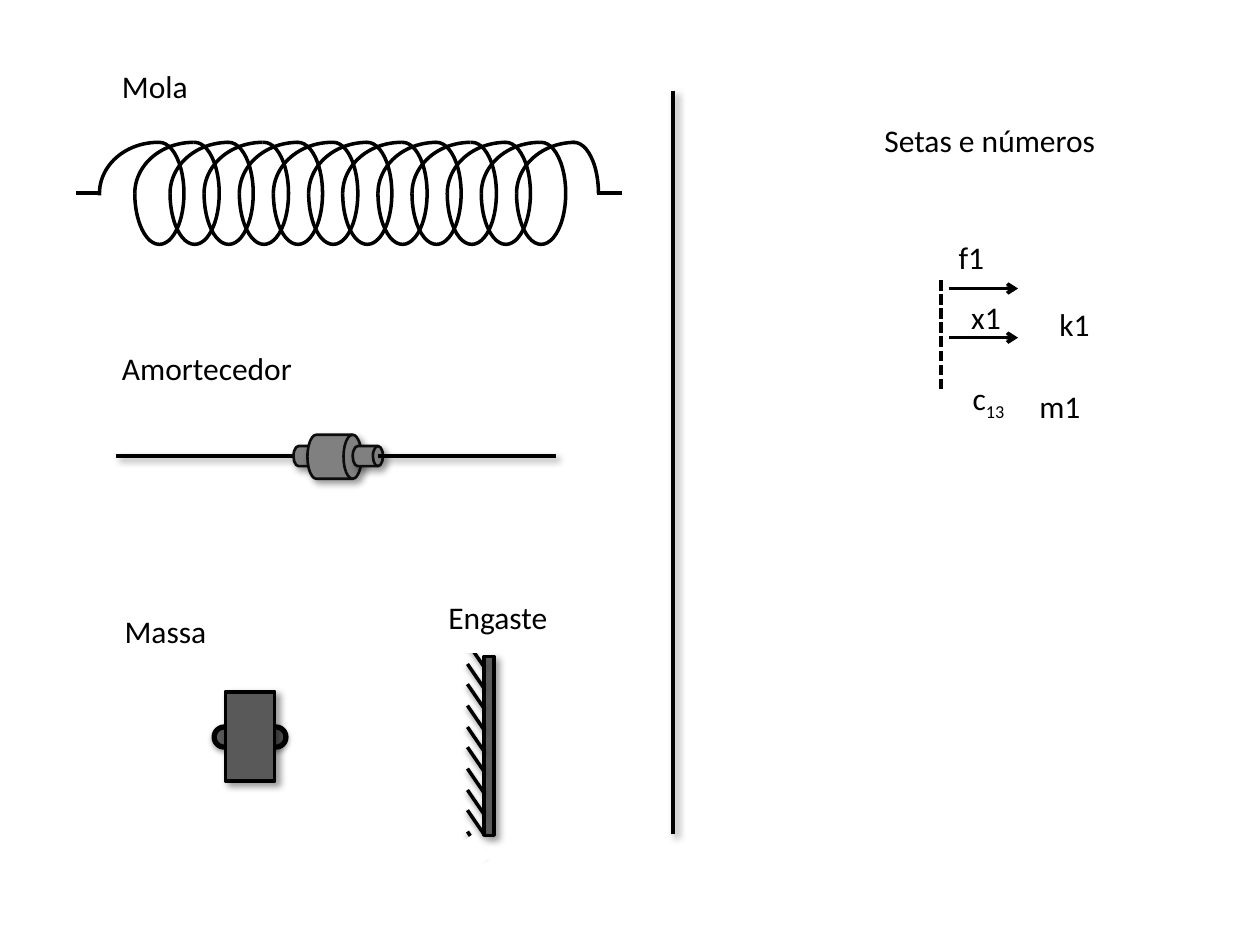
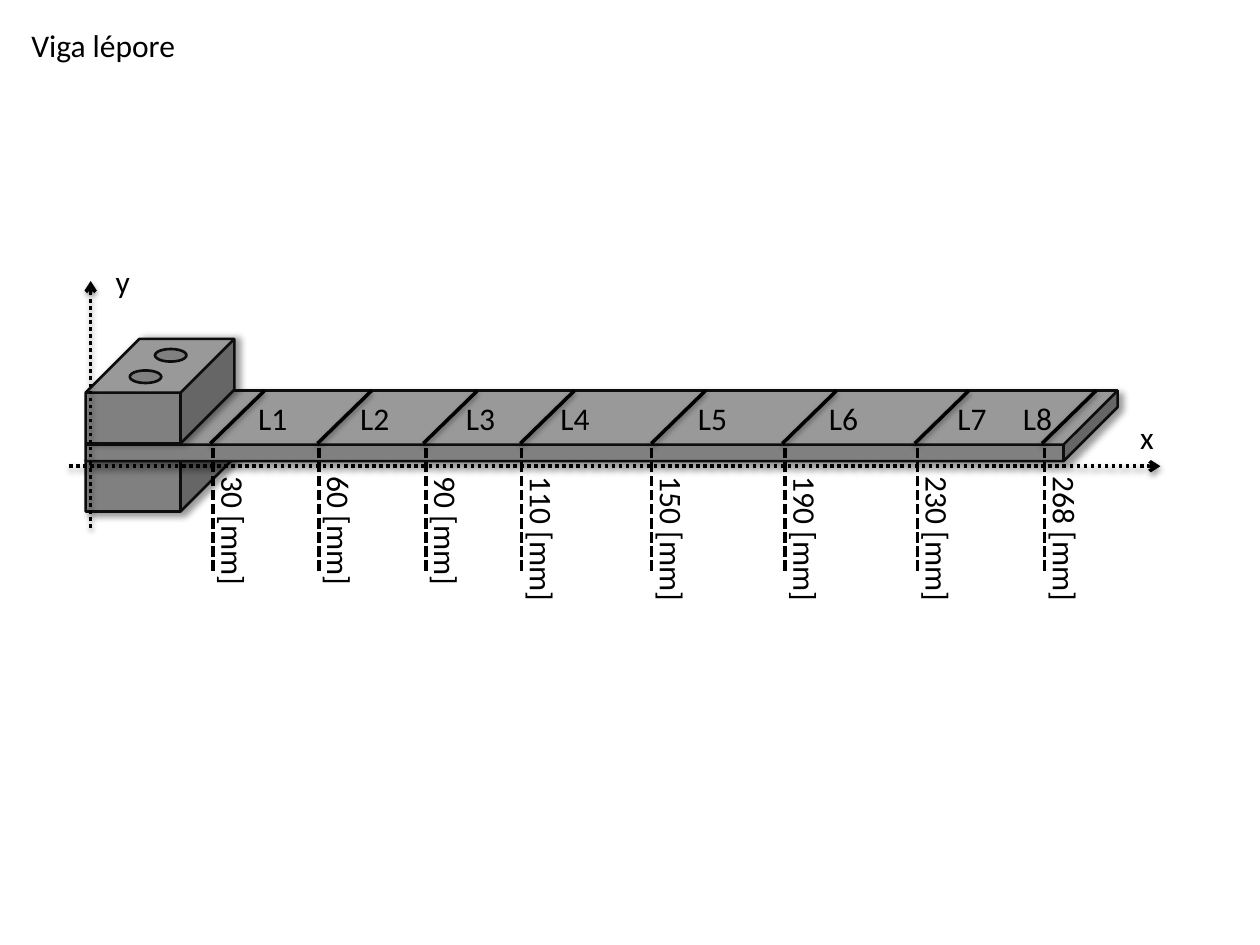
from lxml.etree import SubElement
from pptx import Presentation
from pptx.dml.color import RGBColor as Rgb
from pptx.enum.dml import MSO_LINE as Dash
from pptx.enum.shapes import MSO_CONNECTOR as Link, MSO_SHAPE as Kind
from pptx.enum.text import MSO_AUTO_SIZE as Fit
from pptx.oxml.ns import qn
from pptx.util import Pt

PX = 9144
COLORS = {"ink": "000000", "edge": "0D0D0D", "steel": "808080",
          "dark": "595959", "paper": "FFFFFF"}
SOFT = (40, 4, 3, 45)
SIDE = (40, 4, 3, 0)
DROP = (38, 3.1, 1.6, 90)


class Sketch:
    """Draws diagram parts on the current slide in one shared style."""

    def __init__(self):
        self.deck = Presentation()
        self.deck.slide_width = 1000 * PX
        self.deck.slide_height = 750 * PX

    def page(self):
        self.slide = self.deck.slides.add_slide(self.deck.slide_layouts[6])
        self.loose()

    def loose(self):
        self.host = self.slide.shapes

    def group(self):
        self.host = self.slide.shapes.add_group_shape().shapes

    def color(self, name):
        return Rgb.from_string(COLORS[name])

    def stroke(self, item, name, width):
        item.line.color.rgb = self.color(name)
        item.line.width = Pt(width)

    def shade(self, item, shadow):
        effects = SubElement(item.element.spPr, qn("a:effectLst"))
        if shadow:
            alpha, blur, dist, angle = shadow
            outer = SubElement(effects, qn("a:outerShdw"), blurRad=str(Pt(blur)),
                               dist=str(Pt(dist)), dir=str(angle * 60000),
                               algn="tl", rotWithShape="0")
            tone = SubElement(outer, qn("a:srgbClr"), val=COLORS["ink"])
            SubElement(tone, qn("a:alpha"), val=str(alpha * 1000))

    def shape(self, kind, x, y, w, h, fill=None, edge="ink", width=2,
              shadow=None, adjust=(), turn=0):
        item = self.host.add_shape(kind, x * PX, y * PX, w * PX, h * PX)
        for i, value in enumerate(adjust):
            item.adjustments[i] = value
        item.rotation = turn
        if fill:
            item.fill.solid()
            item.fill.fore_color.rgb = self.color(fill)
        else:
            item.fill.background()
        self.stroke(item, edge, width)
        self.shade(item, shadow)

    def solid(self, kind, x, y, w, h, shadow=SOFT, adjust=()):
        self.shape(kind, x, y, w, h, "steel", "edge", 1.5, shadow, adjust)

    def arc(self, x, w, start, end):
        self.shape(Kind.ARC, x, 113, w, 81, adjust=(start * 0.6, end * 0.6))

    def line(self, x1, y1, x2, y2, shadow=None, dash=None, arrow=False):
        item = self.host.add_connector(Link.STRAIGHT, x1 * PX, y1 * PX,
                                       x2 * PX, y2 * PX)
        self.stroke(item, "ink", 2)
        if dash:
            item.line.dash_style = dash
        if arrow:
            SubElement(item.element.spPr.find(qn("a:ln")), qn("a:tailEnd"),
                       type="arrow")
        self.shade(item, shadow)

    def text(self, words, x, y, w, wrap=False, turn=0, sub=""):
        box = self.host.add_textbox(x * PX, y * PX, w * PX, 40 * PX)
        box.rotation = turn
        frame = box.text_frame
        frame.word_wrap = wrap
        frame.auto_size = Fit.SHAPE_TO_FIT_TEXT
        para = frame.paragraphs[0]
        para.add_run().text = words
        if sub:
            run = para.add_run()
            run.text = sub
            run.font.element.set("baseline", "-25000") if hasattr(
                run.font, "element") else run._r.get_or_add_rPr().set(
                "baseline", "-25000")
        para.font.name = "Calibri"
        para.font.size = Pt(18)
        para.font.color.rgb = self.color("ink")


def spring(art):
    art.group()
    for i in range(12):
        x = 107 + round(i * 303 / 11)
        art.arc(x, 39, 268.5, 180.2)
        art.arc(x, 93, 179.8, 269.9)
    art.arc(79, 93, 178, 269.9)
    art.arc(436, 39, 268.5, 359.8)
    for x in (474, 60):
        art.line(x, 153, x + 20, 153)


def damper(art):
    art.group()
    art.line(92, 362, 241, 362, SOFT)
    for x, y, w, h in ((233, 354, 24, 16), (244, 345, 43, 35), (280, 354, 24, 16)):
        art.solid(Kind.FLOWCHART_DIRECT_ACCESS_STORAGE, x, y, w, h)
    art.line(300, 362, 441, 362, SOFT)


def mass(art):
    art.group()
    for x in (211, 170):
        art.shape(Kind.OVAL, x, 577, 16, 16, "dark", width=3, shadow=DROP)
    art.shape(Kind.RECTANGLE, 179, 549, 39, 71, "dark", shadow=SOFT)


def clamp(art):
    art.group()
    art.shape(Kind.RECTANGLE, 384, 521, 8, 142, "dark", shadow=SOFT)
    for i in range(10):
        y = 510 + round(i * 50 / 3)
        art.line(371, y, 384, y + 19, DROP)
    art.shape(Kind.RECTANGLE, 360, 497, 20, 20, "paper", "paper")
    art.shape(Kind.RECTANGLE, 368, 666, 15, 20, "paper", "paper", turn=324.2)


def parts(art):
    art.page()
    for draw in (spring, damper, mass, clamp):
        draw(art)
    art.loose()
    for y in (229, 268):
        art.line(753, y, 808, y, arrow=True)
    art.line(747, 309, 747, 222, dash=Dash.SQUARE_DOT)
    art.line(534, 72, 534, 662, SOFT)
    for words, x, y, w in (
            ("Mola", 87, 48, 73), ("Amortecedor", 87, 272, 156),
            ("Massa", 89, 481, 86), ("Engaste", 346, 470, 100),
            ("x1", 761, 232, 44), ("f1", 751, 184, 41), ("m1", 815, 302, 53),
            ("k1", 831, 237, 44), ("Setas e números", 692, 91, 189)):
        art.text(words, x, y, w)
    art.text("c", 762, 296, 48, sub="13")


def beam(art):
    art.page()
    art.text("Viga lépore", 15, 16, 136)
    art.group()
    art.solid(Kind.CUBE, 68, 323, 118, 83, adjust=(0.514,))
    art.solid(Kind.CUBE, 68, 310, 819, 56, adjust=(0.766,))
    art.solid(Kind.CUBE, 68, 269, 118, 83, SIDE, (0.514,))
    for x, y in ((123, 277), (103, 294)):
        art.solid(Kind.OVAL, x, y, 25, 10, None)
    art.line(55, 370, 921, 370, DROP, Dash.ROUND_DOT, True)
    art.line(72, 419, 72, 223, DROP, Dash.ROUND_DOT, True)
    art.text("x", 895, 327, 31, True)
    art.text("y", 82, 203, 31, True)
    marks = ((30, 167, 169, 195), (60, 252, 253, 276), (90, 336, 338, 360),
             (110, 413, 414, 435), (150, 517, 517, 544), (190, 621, 623, 648),
             (230, 726, 728, 750), (268, 827, 829, 802))
    for i, (size, cut, tick, label) in enumerate(marks, 1):
        art.line(cut, 352, cut + 43, 310, DROP)
        art.text(f"L{i}", label, 312, 67, True)
        art.line(tick, 453, tick, 355, dash=Dash.SQUARE_DOT)
        art.text(f"{size} [mm]", tick - 50, 415, 133, True, 90)


def main():
    art = Sketch()
    parts(art)
    beam(art)
    art.deck.save("out.pptx")


if __name__ == "__main__":
    main()
